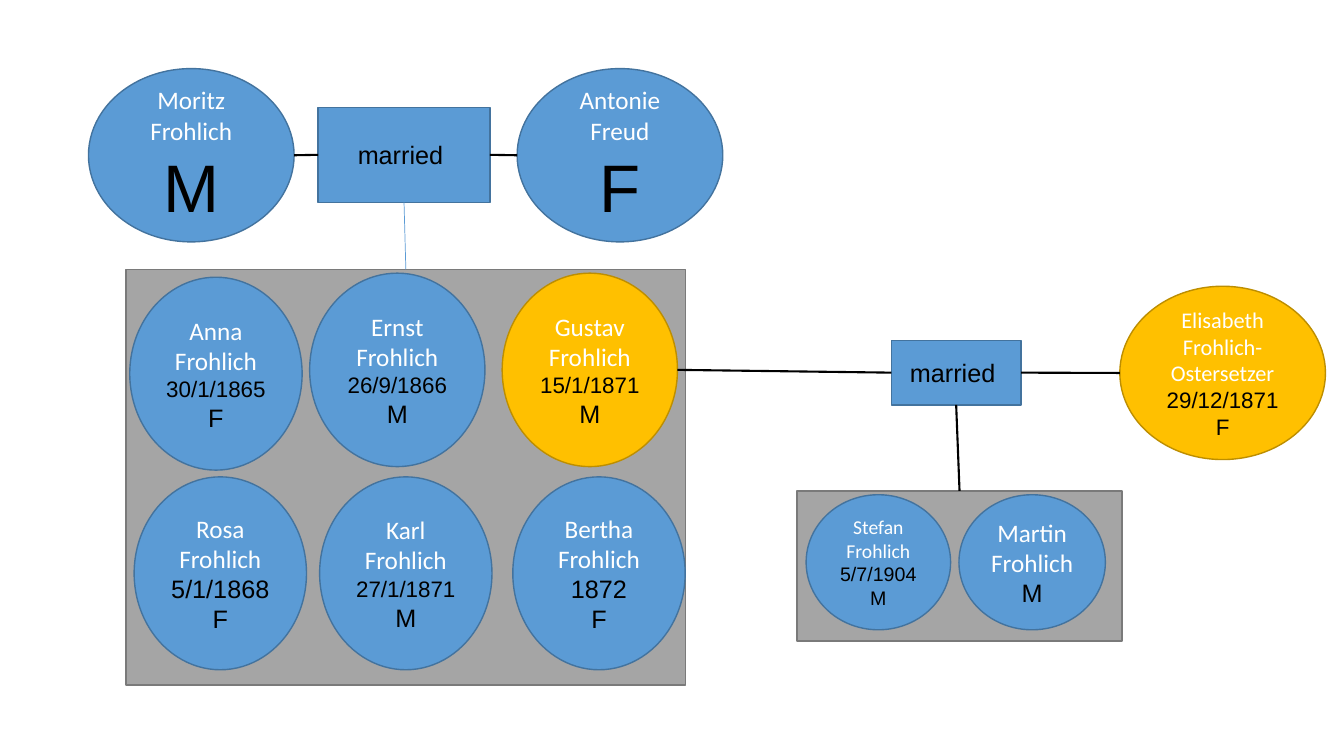
"""Build a one-slide family tree of the Frohlich family."""
from dataclasses import dataclass

from lxml import etree
from pptx import Presentation
from pptx.dml.color import RGBColor
from pptx.enum.shapes import MSO_CONNECTOR, MSO_SHAPE
from pptx.enum.text import MSO_ANCHOR, PP_ALIGN
from pptx.oxml.ns import qn
from pptx.util import Pt

OVAL, RECT = MSO_SHAPE.OVAL, MSO_SHAPE.RECTANGLE
STRAIGHT = MSO_CONNECTOR.STRAIGHT
CENTER, MIDDLE = PP_ALIGN.CENTER, MSO_ANCHOR.MIDDLE
TOP, LEFT, BOTTOM, RIGHT = range(4)
BLUE, BLUE_EDGE = "5B9BD5", "43739E"
GOLD, GOLD_EDGE = "FFC000", "BD8E00"
GREY, GREY_EDGE = "A5A5A5", "7A7A7A"
BLACK, WHITE = "000000", "FFFFFF"


@dataclass(frozen=True)
class Line:
    text: str
    size: float
    font: str = "Arial"
    color: str = BLACK


@dataclass(frozen=True)
class Node:
    key: str
    left: float
    top: float
    width: float
    height: float
    lines: tuple = ()
    kind: int = OVAL
    fill: str = BLUE
    edge: str = BLUE_EDGE


@dataclass(frozen=True)
class Link:
    begin: str
    begin_site: int
    end: str
    end_site: int
    color: str = BLACK
    width: float = 1.5


def person(name, size, *details):
    """Return the text lines of a person: the name, then the details."""
    return (Line(name, size, "Calibri", WHITE),
            *(Line(text, points) for text, points in details))


MARRIED = (Line("married ", 18),)
PARENT = (49, 146.9, 123.8)
ROW_TOP, CHILD_W, CHILD_H = 340.6, 123.1, 137.8

NODES = (
    Node("Antonie", 369.4, *PARENT, person("Antonie Freud", 18, ("F", 48))),
    Node("Moritz", 63.2, *PARENT, person("Moritz Frohlich", 18, ("M", 48))),
    Node("first marriage", 227.2, 76.6, 122.8, 68, MARRIED, RECT),
    Node("second marriage", 636.7, 243.2, 92.6, 46, MARRIED, RECT),
    Node("Elisabeth", 799.9, 204.5, 146.9, 123.8,
         person("Elisabeth Frohlich-Ostersetzer", 16, ("29/12/1871", 16), ("F", 16)),
         OVAL, GOLD, GOLD_EDGE),
    Node("grandchildren", 569.3, 350.6, 232.2, 107.3, (), RECT, GREY, GREY_EDGE),
    Node("Stefan", 575.8, 353.4, 103.2, 96.5,
         person("Stefan Frohlich", 14, ("5/7/1904", 14), ("M", 14))),
    Node("Martin", 685, 353.4, 104.6, 96.5, person("Martin Frohlich", 18, ("M", 18))),
    Node("children", 90, 192.4, 399.8, 297, (), RECT, GREY, GREY_EDGE),
    Node("Anna", 92.7, 198, CHILD_W, CHILD_H,
         person("Anna Frohlich", 18, ("30/1/1865", 16), ("F", 18))),
    Node("Ernst", 221.2, 195.1, 125.2, 138.2,
         person("Ernst Frohlich", 18, ("26/9/1866", 16), ("M", 18))),
    Node("Gustav", 358.7, 195.1, 125.2, 138.2,
         person("Gustav Frohlich", 18, ("15/1/1871", 16), ("M", 18)),
         OVAL, GOLD, GOLD_EDGE),
    Node("Rosa", 95.8, ROW_TOP, CHILD_W, CHILD_H,
         person("Rosa Frohlich", 18, ("5/1/1868", 18), ("F", 18))),
    Node("Karl", 228.3, ROW_TOP, CHILD_W, CHILD_H,
         person("Karl Frohlich", 18, ("27/1/1871", 16), ("M", 18))),
    Node("Bertha", 366.3, ROW_TOP, CHILD_W, CHILD_H,
         person("Bertha Frohlich", 18, ("1872", 18), ("F", 18))),
)

LINKS = (
    Link("Antonie", LEFT, "first marriage", RIGHT),
    Link("Moritz", RIGHT, "first marriage", LEFT),
    Link("Elisabeth", LEFT, "second marriage", RIGHT),
    Link("first marriage", BOTTOM, "children", TOP, BLUE, 0.5),
    Link("Gustav", RIGHT, "second marriage", LEFT),
    Link("second marriage", BOTTOM, "grandchildren", TOP),
)


def rgb(color: str) -> RGBColor:
    """Turn a hex string into a colour."""
    return RGBColor.from_string(color)


def add_node(s, node: Node):
    """Draw one node with its centred text."""
    sp = s.shapes.add_shape(node.kind, Pt(node.left), Pt(node.top),
                            Pt(node.width), Pt(node.height))
    sp.shadow.inherit = False
    sp.fill.solid()
    sp.fill.fore_color.rgb = rgb(node.fill)
    sp.line.color.rgb = rgb(node.edge)
    sp.line.width = Pt(1)
    tf = sp.text_frame
    tf.word_wrap = True
    tf.vertical_anchor = MIDDLE
    tf.text = "\n".join(line.text for line in node.lines)
    for p, line in zip(tf.paragraphs, node.lines):
        p.alignment = CENTER
        for r in p.runs:
            r.font.size = Pt(line.size)
            r.font.name = line.font
            r.font.color.rgb = rgb(line.color)
    return sp


def side_middle(sp, site: int) -> tuple:
    """Return the middle of one side of a shape."""
    x, y = sp.left + sp.width // 2, sp.top + sp.height // 2
    return {TOP: (x, sp.top), LEFT: (sp.left, y),
            BOTTOM: (x, sp.top + sp.height), RIGHT: (sp.left + sp.width, y)}[site]


def add_link(s, link: Link, shapes: dict) -> None:
    """Draw one line and join it to the rectangles it touches."""
    begin, end = shapes[link.begin], shapes[link.end]
    cxn = s.shapes.add_connector(STRAIGHT, *side_middle(begin, link.begin_site),
                                 *side_middle(end, link.end_site))
    if begin.auto_shape_type == RECT:
        cxn.begin_connect(begin, link.begin_site)
    cxn.end_connect(end, link.end_site)
    cxn.line.color.rgb = rgb(link.color)
    cxn.line.width = Pt(link.width)
    etree.SubElement(cxn._element.spPr, qn("a:effectLst"))


def main() -> None:
    """Build and save the slide."""
    prs = Presentation()
    prs.slide_width, prs.slide_height = Pt(960), Pt(540)
    s = prs.slides.add_slide(prs.slide_layouts[6])
    shapes = {node.key: add_node(s, node) for node in NODES}
    for link in LINKS:
        add_link(s, link, shapes)
    prs.save("out.pptx")


if __name__ == "__main__":
    main()
